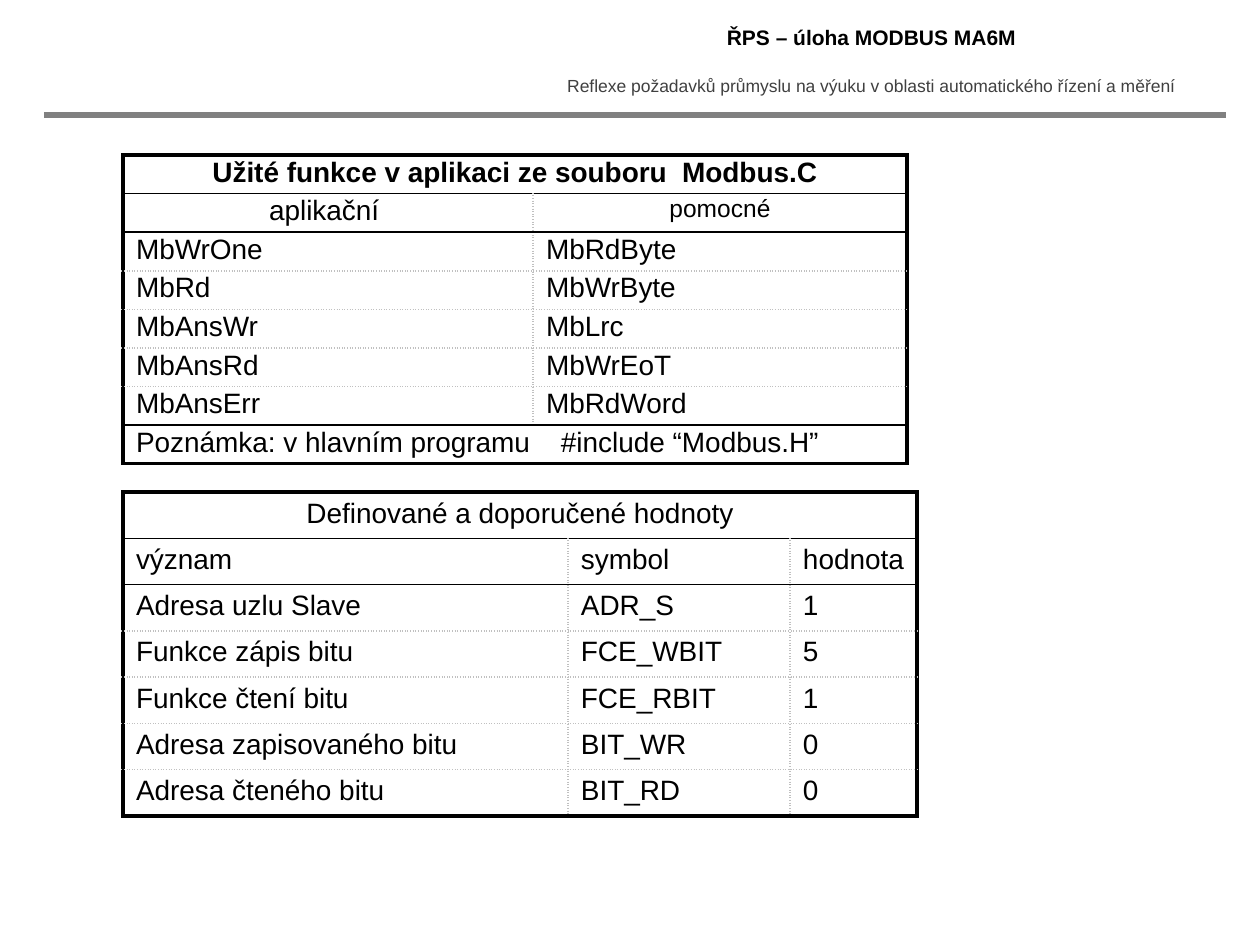
"""Build a slide with two tables of Modbus functions and values."""
from lxml.etree import SubElement
from pptx import Presentation
from pptx.dml.color import RGBColor as Rgb
from pptx.enum.shapes import MSO_CONNECTOR as Connector
from pptx.enum.text import MSO_ANCHOR as Anchor, PP_ALIGN as Align
from pptx.oxml.ns import qn
from pptx.util import Pt

PX = 914400 / 126
FONT = "Arial"
COLORS = {"text": "000000", "subtitle": "404040", "rule": "808080", "dots": "C0C0C0"}
EDGES = {"heavy": (2.25, "text", "solid"), "thin": (1, "text", "solid"), "dotted": (1, "dots", "sysDot")}

TITLE = "ŘPS – úloha MODBUS MA6M"
SUBTITLE = "Reflexe požadavků průmyslu na výuku v oblasti automatického řízení a měření"
TABLES = [
    {
        "place": (123, 155, 784, 309), "columns": (410, 374), "pad": 2,
        "rules": {1, 2, 7}, "centred": {0, 1}, "bold": {0}, "sizes": {(1, 1): 14},
        "rows": [
            ["Užité funkce v aplikaci ze souboru  Modbus.C"],
            ["aplikační ", "pomocné"],
            ["MbWrOne", "MbRdByte"],
            ["MbRd", "MbWrByte"],
            ["MbAnsWr", "MbLrc"],
            ["MbAnsRd", "MbWrEoT"],
            ["MbAnsErr", "MbRdWord"],
            ["Poznámka: v hlavním programu    #include “Modbus.H”"],
        ],
    },
    {
        "place": (123, 492, 794, 324), "columns": (445, 222, 127), "pad": 6,
        "rules": {1, 2}, "centred": {0}, "bold": set(), "sizes": {},
        "rows": [
            ["Definované a doporučené hodnoty"],
            ["význam", "symbol", "hodnota"],
            ["Adresa uzlu Slave", "ADR_S", "1"],
            ["Funkce zápis bitu", "FCE_WBIT", "5"],
            ["Funkce čtení bitu", "FCE_RBIT", "1"],
            ["Adresa zapisovaného bitu", "BIT_WR", "0"],
            ["Adresa čteného bitu", "BIT_RD", "0"],
        ],
    },
]


def px(*values):
    return [round(value * PX) for value in values]


def write(frame, text, size=16, bold=False, color="text", align=Align.LEFT):
    para = frame.paragraphs[0]
    para.alignment = align
    para.space_before = Pt(0)
    span = para.add_run()
    span.text = text
    span.font.name, span.font.size, span.font.bold = FONT, Pt(size), bold
    span.font.color.rgb = Rgb.from_string(COLORS[color])


def draw_edge(cell, side, kind):
    width, color, dash = EDGES[kind]
    line = SubElement(cell._tc.get_or_add_tcPr(), qn(f"a:ln{side}"), w=str(Pt(width)))
    fill = SubElement(line, qn("a:solidFill"))
    SubElement(fill, qn("a:srgbClr"), val=COLORS[color])
    SubElement(line, qn("a:prstDash"), val=dash)


def edge_kind(index, count, rules=()):
    if index in (0, count):
        return "heavy"
    return "thin" if index in rules else "dotted"


def add_grid(page, place, columns, pad, rules, centred, bold, sizes, rows):
    height, width = len(rows), len(columns)
    grid = page.shapes.add_table(height, width, *px(*place)).table
    grid.first_row = grid.horz_banding = False
    for column, size in zip(grid.columns, columns):
        column.width = round(size * PX)
    for r, texts in enumerate(rows):
        grid.rows[r].height = round(place[3] / height * PX)
        merged = len(texts) == 1
        if merged:
            grid.cell(r, 0).merge(grid.cell(r, width - 1))
        for c in range(width):
            cell = grid.cell(r, c)
            cell.margin_left = cell.margin_right = round(13 * PX)
            cell.margin_top = cell.margin_bottom = round(pad * PX)
            cell.vertical_anchor = Anchor.TOP
            left, right = (0, width) if merged else (c, c + 1)
            draw_edge(cell, "L", edge_kind(left, width))
            draw_edge(cell, "R", edge_kind(right, width))
            draw_edge(cell, "T", edge_kind(r, height, rules))
            draw_edge(cell, "B", edge_kind(r + 1, height, rules))
            cell.fill.background()
            if c < len(texts):
                write(cell.text_frame, texts[c], size=sizes.get((r, c), 16), bold=r in bold,
                      align=Align.CENTER if r in centred else Align.LEFT)


def main():
    deck = Presentation()
    deck.slide_width, deck.slide_height = px(1260, 945)
    page = deck.slides.add_slide(deck.slide_layouts[5])

    title = page.shapes.title
    title.left, title.top, title.width, title.height = px(542, 18, 659, 39)
    title.text_frame.vertical_anchor = Anchor.TOP
    write(title.text_frame, TITLE, size=12, bold=True, align=Align.CENTER)

    subtitle = page.shapes.add_textbox(*px(542, 69, 658, 34))
    subtitle.text_frame.word_wrap = True
    write(subtitle.text_frame, SUBTITLE, size=10, color="subtitle", align=Align.CENTER)

    rule = page.shapes.add_connector(Connector.STRAIGHT, *px(44, 115, 1226, 115))
    rule.line.color.rgb = Rgb.from_string(COLORS["rule"])
    rule.line.width = Pt(3)
    SubElement(rule._element.spPr, qn("a:effectLst"))

    for table in TABLES:
        add_grid(page, **table)
    deck.save("out.pptx")


if __name__ == "__main__":
    main()
